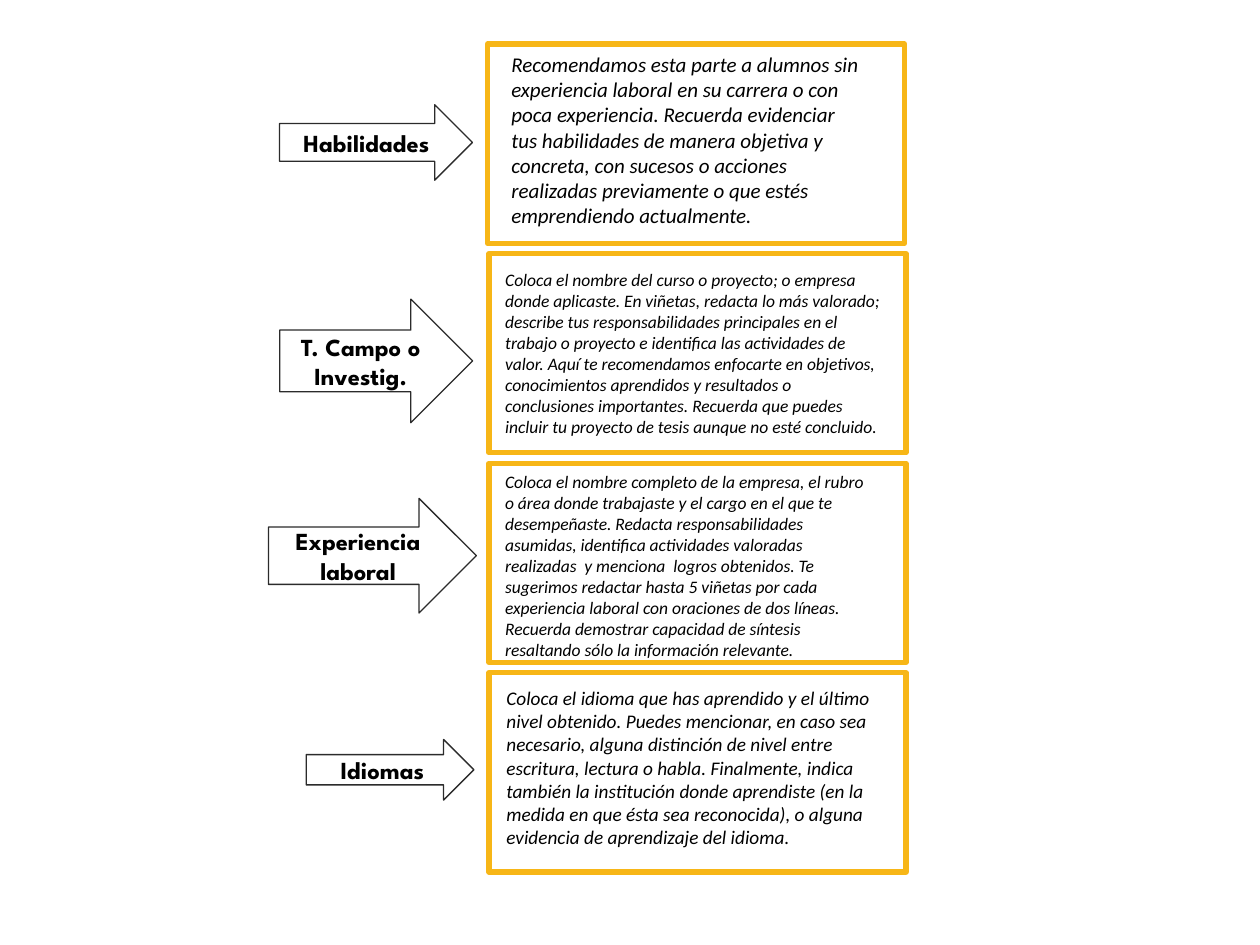
from pptx import Presentation
from pptx.dml.color import RGBColor
from pptx.enum import shapes, text
from pptx.util import Pt

CARD_LEFT, CARD_TOP = 279.4, 25.2
CARD_WIDTH, CARD_HEIGHT = 238.3, 113.8
ROW_PITCH = 119.75

# Arrow and body boxes are (left, top, width, height) from the card's corner.
SECTIONS = [
    {
        "title": "Habilidades",
        "card_shift": -0.8,
        "arrow": (-118.8, 34.6, 110.2, 43.2),
        "body": (6.5, 0.7, 214.6, 107.3),
        "size": 12,
        "advice": "Recomendamos esta parte a alumnos sin experiencia laboral en su "
                  "carrera o con poca experiencia. Recuerda evidenciar tus habilidades "
                  "de manera objetiva y concreta, con sucesos o acciones realizadas "
                  "previamente o que estés emprendiendo actualmente.",
    },
    {
        "title": "T. Campo o Investig.",
        "card_shift": 0,
        "arrow": (-119.5, 26, 110.2, 70.6),
        "body": (2.2, 5, 229.7, 100.8),
        "size": 10,
        "advice": "Coloca el nombre del curso o proyecto; o empresa donde aplicaste. En "
                  "viñetas, redacta lo más valorado; describe tus responsabilidades "
                  "principales en el trabajo o proyecto e identifica las actividades de "
                  "valor. Aquí te recomendamos enfocarte en objetivos, conocimientos "
                  "aprendidos y resultados o conclusiones importantes. Recuerda que "
                  "puedes incluir tu proyecto de tesis aunque no esté concluido.",
    },
    {
        "title": "Experiencia laboral",
        "card_shift": 0,
        "arrow": (-126, 20.1, 118.8, 65.5),
        "body": (2.2, 0.7, 221, 113.8),
        "size": 10,
        "advice": "Coloca el nombre completo de la empresa, el rubro o área donde "
                  "trabajaste y el cargo en el que te desempeñaste. Redacta "
                  "responsabilidades asumidas, identifica actividades valoradas "
                  "realizadas  y menciona  logros obtenidos. Te sugerimos redactar hasta "
                  "5 viñetas por cada experiencia laboral con oraciones de dos líneas. "
                  "Recuerda demostrar capacidad de síntesis resaltando sólo la "
                  "información relevante.",
    },
    {
        "title": "Idiomas",
        "card_shift": 0,
        "arrow": (-104.4, 38.1, 95.8, 34.6),
        "body": (2.9, 4.3, 226.1, 100.8),
        "size": 11,
        "advice": "Coloca el idioma que has aprendido y el último nivel obtenido. Puedes "
                  "mencionar, en caso sea necesario, alguna distinción de nivel entre "
                  "escritura, lectura o habla. Finalmente, indica también la institución "
                  "donde aprendiste (en la medida en que ésta sea reconocida), o alguna "
                  "evidencia de aprendizaje del idioma.",
    },
]


def color(value):
    return RGBColor.from_string(value)


def place(box, left, top):
    """Shift a relative box to the slide and convert it to lengths."""
    x, y, width, height = box
    return Pt(left + x), Pt(top + y), Pt(width), Pt(height)


def add_outlined(parent, kind, box, line_color, line_width):
    shape = parent.add_shape(kind, *box)
    shape.shadow.inherit = False
    shape.line.color.rgb = color(line_color)
    shape.line.width = Pt(line_width)
    return shape


def write(shape, wording, font_name, size, vertical_inset, **style):
    frame = shape.text_frame
    frame.word_wrap = True
    frame.margin_left = frame.margin_right = Pt(7.2)
    frame.margin_top = frame.margin_bottom = Pt(vertical_inset)
    frame.text = wording
    font = frame.paragraphs[0].runs[0].font
    font.name, font.size = font_name, Pt(size)
    font.color.rgb = color("000000")
    for name, value in style.items():
        setattr(font, name, value)
    return frame


def add_card(slide, section, left, top):
    group = slide.shapes.add_group_shape()
    card_box = place((0, 0, CARD_WIDTH, CARD_HEIGHT), left, top)
    card = add_outlined(group.shapes, shapes.MSO_SHAPE.RECTANGLE, card_box, "F7B617", 3)
    card.fill.solid()
    card.fill.fore_color.rgb = color("FFFFFF")
    body = group.shapes.add_textbox(*place(section["body"], left, top))
    write(body, section["advice"], "Calibri", section["size"], 3.6, italic=True)


def add_arrow(slide, section, left, top):
    arrow_box = place(section["arrow"], left, top)
    arrow = add_outlined(slide.shapes, shapes.MSO_SHAPE.RIGHT_ARROW, arrow_box, "2B2B2B", 0.75)
    arrow.fill.background()
    frame = write(arrow, section["title"], "League Spartan", 14, 7.2, bold=True)
    frame.vertical_anchor = text.MSO_ANCHOR.MIDDLE
    frame.paragraphs[0].alignment = text.PP_ALIGN.CENTER


def main():
    presentation = Presentation()
    presentation.slide_width, presentation.slide_height = Pt(720), Pt(540)
    slide = presentation.slides.add_slide(presentation.slide_layouts[6])
    for row, section in enumerate(SECTIONS):
        left = CARD_LEFT + section["card_shift"]
        top = CARD_TOP + row * ROW_PITCH
        add_card(slide, section, left, top)
        add_arrow(slide, section, left, top)
    presentation.save("out.pptx")


if __name__ == "__main__":
    main()
